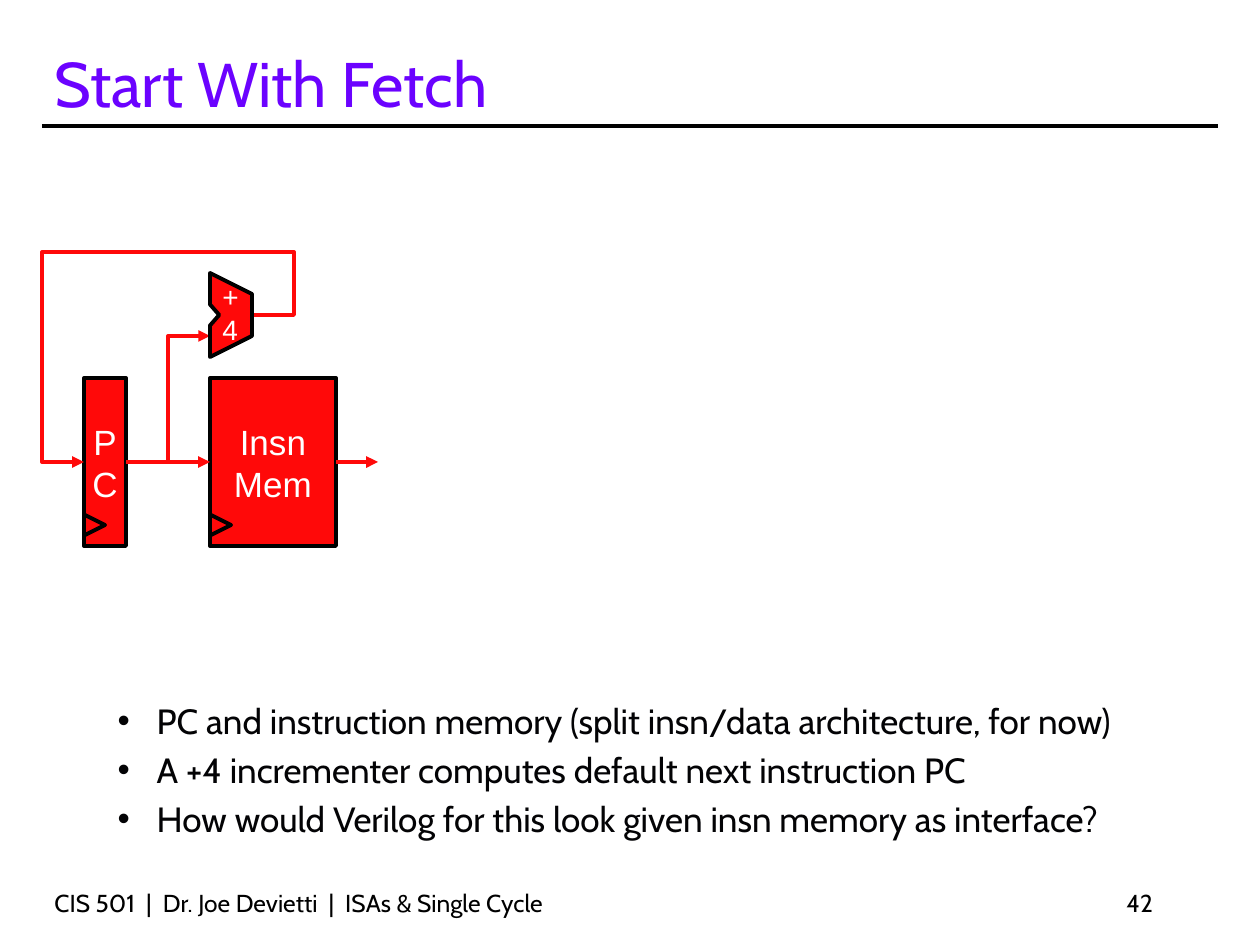
from dataclasses import dataclass

from lxml.etree import SubElement
from pptx import Presentation
from pptx.dml.color import RGBColor
from pptx.enum.shapes import MSO_CONNECTOR, MSO_SHAPE
from pptx.enum.text import MSO_ANCHOR, MSO_AUTO_SIZE, PP_ALIGN
from pptx.oxml.ns import qn
from pptx.util import Inches, Pt


@dataclass(frozen=True)
class Theme:
    """Colours, fonts and sizes of the slide."""
    ink: str = "000000"
    body: str = "030305"
    title: str = "6B02FF"
    red: str = "FF0909"
    white: str = "FFFFFF"
    font: str = "Cabin"
    label_font: str = "Arial"
    title_size: int = 36
    body_size: int = 20
    label_size: int = 20
    adder_size: int = 16
    footer_size: int = 14
    line: float = 2.25


T = Theme()
BULLETS = [
    "PC and instruction memory (split insn/data architecture, for now)",
    "A +4 incrementer computes default next instruction PC",
    "How would Verilog for this look given insn memory as interface?",
]


def grid(*cells):
    """Convert grid cells, three to the inch, to lengths."""
    return [Inches(c / 3) for c in cells]


def rgb(value):
    """Return a colour from its hex value."""
    return RGBColor.from_string(value)


def write(shape, text, size, color, font=T.font, align=PP_ALIGN.LEFT,
          anchor=MSO_ANCHOR.TOP, wrap=True):
    """Set the text of a shape and format its runs."""
    tf = shape.text_frame
    tf.text = text
    tf.auto_size = MSO_AUTO_SIZE.NONE
    tf.word_wrap = wrap
    tf.vertical_anchor = anchor
    for p in tf.paragraphs:
        p.alignment = align
        for r in p.runs:
            r.font.name, r.font.size = font, Pt(size)
            r.font.color.rgb = rgb(color)
    return tf


def place(shape, *cells):
    """Move and size a shape on the grid."""
    shape.left, shape.top, shape.width, shape.height = grid(*cells)
    return shape


def style(shape, color, filled=True):
    """Give a shape its outline and its red fill or none."""
    shape.shadow.inherit = False
    shape.line.color.rgb = rgb(color)
    shape.line.width = Pt(T.line)
    if filled:
        shape.fill.solid()
        shape.fill.fore_color.rgb = rgb(T.red)
    else:
        shape.fill.background()


def add_arrowhead(line):
    """Put a triangle at the end of a line."""
    SubElement(line.line._get_or_add_ln(), qn("a:tailEnd"), type="triangle")


def add_line(s, start, end, color):
    """Add a straight line between two grid points."""
    line = s.shapes.add_connector(MSO_CONNECTOR.STRAIGHT, *grid(*start, *end))
    line.line.color.rgb = rgb(color)
    line.line.width = Pt(T.line)
    SubElement(line._element.spPr, qn("a:effectLst"))
    return line


def add_outline(s, points, color, closed):
    """Add a freeform through grid points."""
    start, *rest = [grid(*point) for point in points]
    builder = s.shapes.build_freeform(*start)
    builder.add_line_segments(rest, close=closed)
    sp = builder.convert_to_shape()
    style(sp, color, closed)
    return sp


def add_register(s, text, left, width):
    """Add a clocked block with its label and clock mark."""
    sp = s.shapes.add_shape(MSO_SHAPE.RECTANGLE, *grid(left, 9, width, 4))
    style(sp, T.ink)
    write(sp, text, T.label_size, T.white, T.label_font, PP_ALIGN.CENTER,
          MSO_ANCHOR.MIDDLE, False)
    clock = s.shapes.add_shape(MSO_SHAPE.ISOSCELES_TRIANGLE,
                               *grid(left, 12.25, 0.5, 0.5))
    clock.rotation = 90
    style(clock, T.ink)


def add_adder(s):
    """Add the notched +4 incrementer."""
    add_outline(s, [(5, 6.5), (5, 7.25), (5.22, 7.5), (5, 7.75),
                    (5, 8.5), (6, 8), (6, 7)], T.ink, True)
    box = s.shapes.add_textbox(*grid(5, 6.5, 1, 1.9))
    write(box, "+\n4", T.adder_size, T.white, T.label_font, wrap=False)


def add_wires(s):
    """Add the arrows of the fetch path."""
    for left, right in ((3, 5), (8, 9)):
        add_arrowhead(add_line(s, (left, 11), (right, 11), T.red))
    branch = [(4, 11), (4, 8), (5, 8)]
    loop = [(6, 7.5), (7, 7.5), (7, 6), (1, 6), (1, 11), (2, 11)]
    for points in (branch, loop):
        add_arrowhead(add_outline(s, points, T.red, False))


def add_bullets(body):
    """Fill the body placeholder with the bulleted list."""
    tf = write(body, "\n".join(BULLETS), T.body_size, T.body)
    for i, p in enumerate(tf.paragraphs):
        p.level = 1
        p.space_before = Pt(4 if i else 0)
        pPr = p._p.get_or_add_pPr()
        pPr.set("marL", str(Inches(0.81)))
        pPr.set("indent", str(Inches(-0.31)))
        SubElement(SubElement(pPr, qn("a:buClr")), qn("a:srgbClr"), val=T.body)
        SubElement(pPr, qn("a:buFont"), typeface=T.label_font)
        SubElement(pPr, qn("a:buChar"), char="•")


def add_footer(s, text, left, width, align):
    """Add one text of the footer row."""
    box = s.shapes.add_textbox(*grid(left, 21, width, 1))
    write(box, text, T.footer_size, T.ink, align=align,
          anchor=MSO_ANCHOR.BOTTOM)


def main():
    """Build and save the slide."""
    prs = Presentation()
    prs.slide_width, prs.slide_height = Inches(10), Inches(7.5)
    s = prs.slides.add_slide(prs.slide_layouts[1])
    title, body = s.placeholders
    write(place(title, 1, 0.75, 26.5, 2.25), "Start With Fetch",
          T.title_size, T.title, anchor=MSO_ANCHOR.BOTTOM)
    add_line(s, (1, 3), (29, 3), T.ink)
    add_bullets(place(body, 1, 16.5, 28, 4))
    add_register(s, "P\nC", 2, 1)
    add_register(s, "Insn\nMem", 5, 3)
    add_wires(s)
    add_adder(s)
    add_footer(s, "CIS 501  |  Dr. Joe Devietti  |  ISAs & Single Cycle",
               1, 18.75, PP_ALIGN.LEFT)
    add_footer(s, "42", 21.5, 6.25, PP_ALIGN.RIGHT)
    prs.save("out.pptx")


if __name__ == "__main__":
    main()
